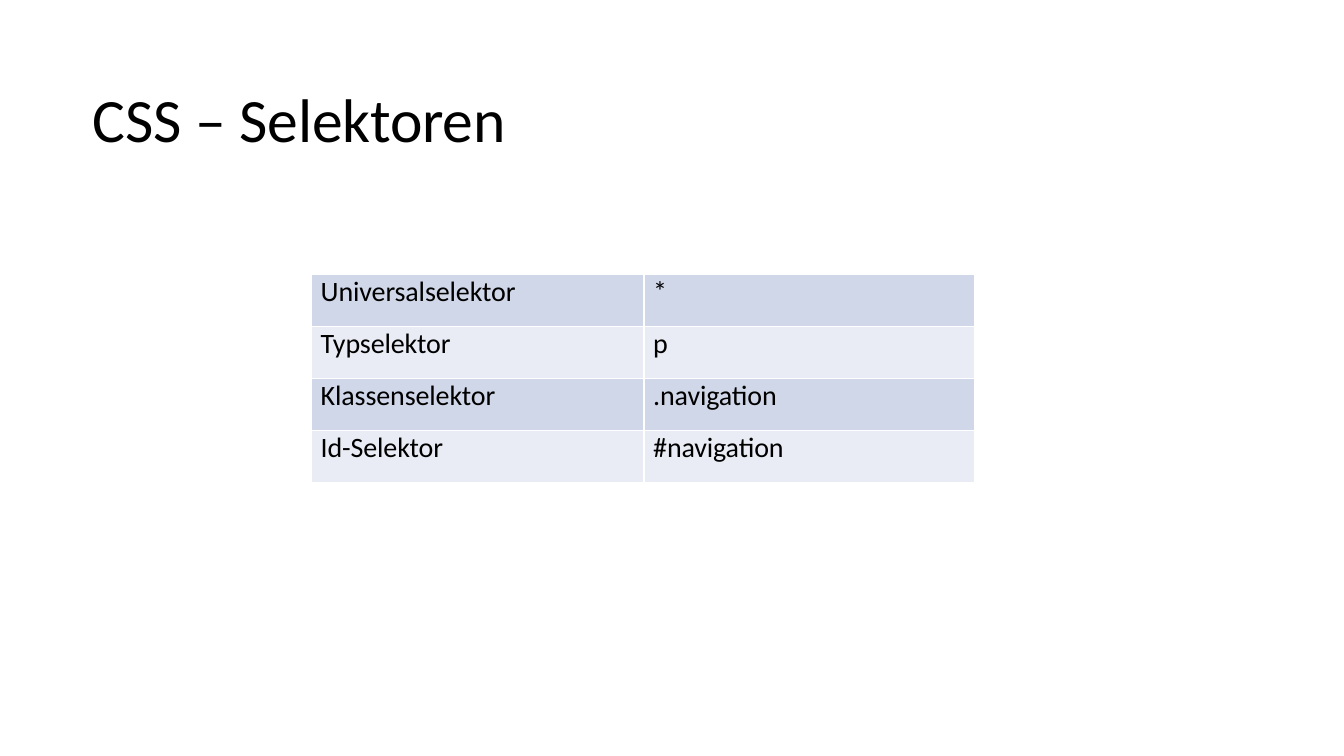
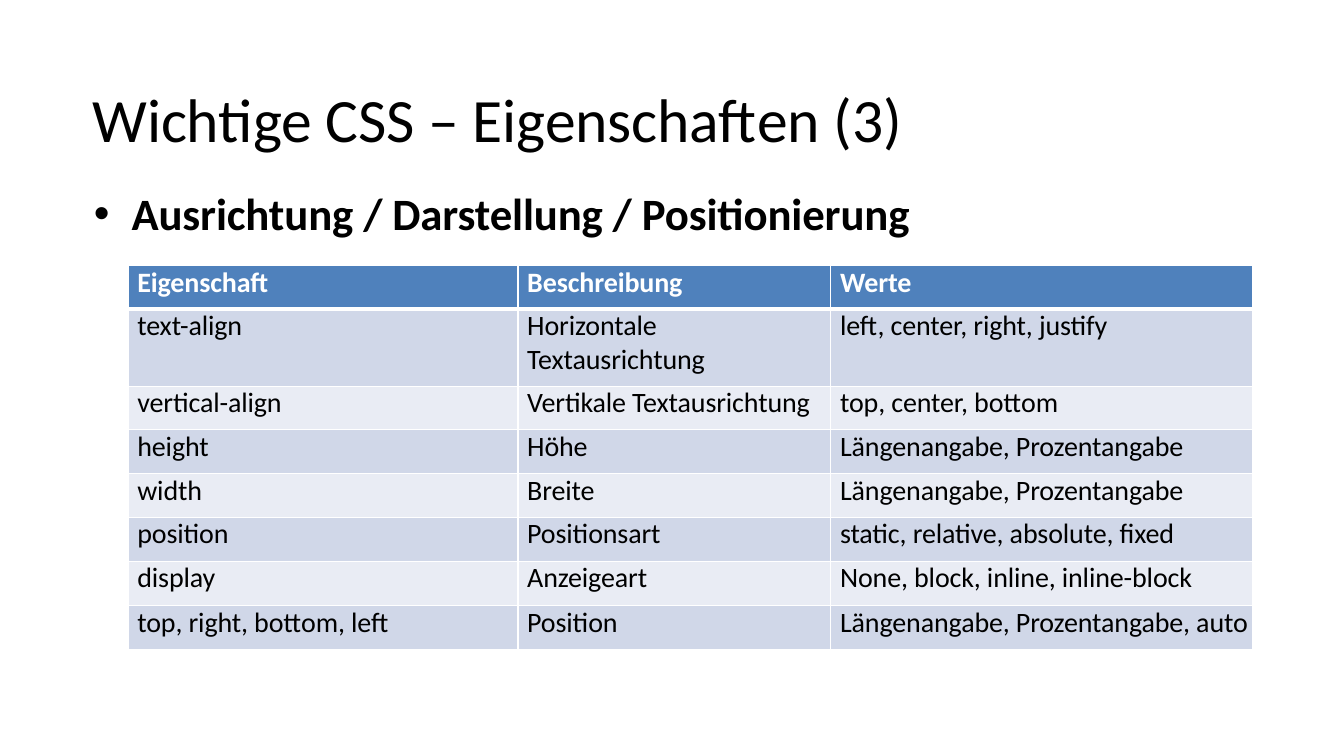
from pptx import Presentation
from pptx.dml.color import RGBColor as RGB
from pptx.enum.text import MSO_ANCHOR as Anchor
from pptx.oxml.ns import qn
from pptx.util import Pt
from lxml.etree import SubElement

COLORS = {"text": "000000", "header": "4F81BC", "header_text": "FFFFFF",
          "odd": "D0D7E8", "even": "E9ECF4", "grid": "FFFFFF"}
FONT = "Calibri"

# Content of the slides
SLIDES = [
    {"title": "CSS – Selektoren", "bullet": None, "header": False,
     "corner": (222.5, 196), "widths": [237.5, 236.5], "heights": [37.25] * 4,
     "rows": [["Universalselektor", "*"],
              ["Typselektor", "p"],
              ["Klassenselektor", ".navigation"],
              ["Id-Selektor", "#navigation"]]},
    {"title": "Wichtige CSS – Eigenschaften (3)",
     "bullet": "Ausrichtung / Darstellung / Positionierung", "header": True,
     "corner": (91.5, 189.5), "widths": [278.5, 223.5, 301],
     "heights": [31.2, 55.2] + [31.2] * 3 + [31.5] * 3,
     "rows": [["Eigenschaft", "Beschreibung", "Werte"],
              ["text-align", "Horizontale\nTextausrichtung", "left, center, right, justify"],
              ["vertical-align", "Vertikale Textausrichtung", "top, center, bottom"],
              ["height", "Höhe", "Längenangabe, Prozentangabe"],
              ["width", "Breite", "Längenangabe, Prozentangabe"],
              ["position", "Positionsart", "static, relative, absolute, fixed"],
              ["display", "Anzeigeart", "None, block, inline, inline-block"],
              ["top, right, bottom, left", "Position", "Längenangabe, Prozentangabe, auto"]]},
]


def write(holder, text, size, color="text", bold=False):
    """Set text without insets, slightly tightened."""
    frame = holder.text_frame
    frame.word_wrap = True
    frame.margin_left = frame.margin_right = frame.margin_top = frame.margin_bottom = 0
    frame.text = text
    for paragraph in frame.paragraphs:
        for run in paragraph.runs:
            run.font.name, run.font.size, run.font.bold = FONT, Pt(size), bold
            run.font.color.rgb = RGB.from_string(COLORS[color])
            run.font._element.set("spc", "-10")
    return frame


def draw_border(cell, side, width):
    line = SubElement(cell._tc.get_or_add_tcPr(), qn(f"a:ln{side}"), w=str(Pt(width)))
    fill = SubElement(line, qn("a:solidFill"))
    SubElement(fill, qn("a:srgbClr"), val=COLORS["grid"])


deck = Presentation()
deck.slide_width, deck.slide_height = Pt(960), Pt(540)

for content in SLIDES:
    slide = deck.slides.add_slide(deck.slide_layouts[6])

    # Title
    title = slide.shapes.add_textbox(Pt(66), Pt(36), Pt(828), Pt(97))
    write(title, content["title"], 44).vertical_anchor = Anchor.MIDDLE

    # Bullet line
    if content["bullet"]:
        topic = slide.shapes.add_textbox(Pt(66), Pt(133), Pt(705), Pt(39))
        frame = write(topic, content["bullet"], 32, bold=True)
        props = frame.paragraphs[0]._p.get_or_add_pPr()
        props.set("marL", str(Pt(28)))
        props.set("indent", str(Pt(-27)))
        SubElement(props, qn("a:buFont"), typeface="Arial")
        SubElement(props, qn("a:buChar"), char="•")

    # Table
    rows, widths, heights = content["rows"], content["widths"], content["heights"]
    left, top = content["corner"]
    table = slide.shapes.add_table(len(rows), len(widths), Pt(left), Pt(top),
                                   Pt(sum(widths)), Pt(sum(heights))).table
    table.first_row = table.horz_banding = False
    for column, width in zip(table.columns, widths):
        column.width = Pt(width)
    has_header = content["header"]
    for r, (row, height, texts) in enumerate(zip(table.rows, heights, rows)):
        row.height = Pt(height)
        is_header = has_header and r == 0
        band = "header" if is_header else ("odd", "even")[(r - has_header) % 2]
        for cell, text in zip(row.cells, texts):
            cell.margin_left = cell.margin_right = cell.margin_top = cell.margin_bottom = 0
            frame = cell.text_frame
            frame.text = text
            for side in "LRTB":
                under_header = has_header and (r, side) in ((0, "B"), (1, "T"))
                draw_border(cell, side, 3 if under_header else 1)
            cell.fill.solid()
            cell.fill.fore_color.rgb = RGB.from_string(COLORS[band])
            write(cell, text, 20, "header_text" if is_header else "text", is_header)
            for paragraph in frame.paragraphs:
                paragraph._p.get_or_add_pPr().set("marL", str(Pt(6.6)))
            frame.paragraphs[0].space_before = Pt(0.8 if has_header and r == 1 else 1.9)

deck.save("out.pptx")
